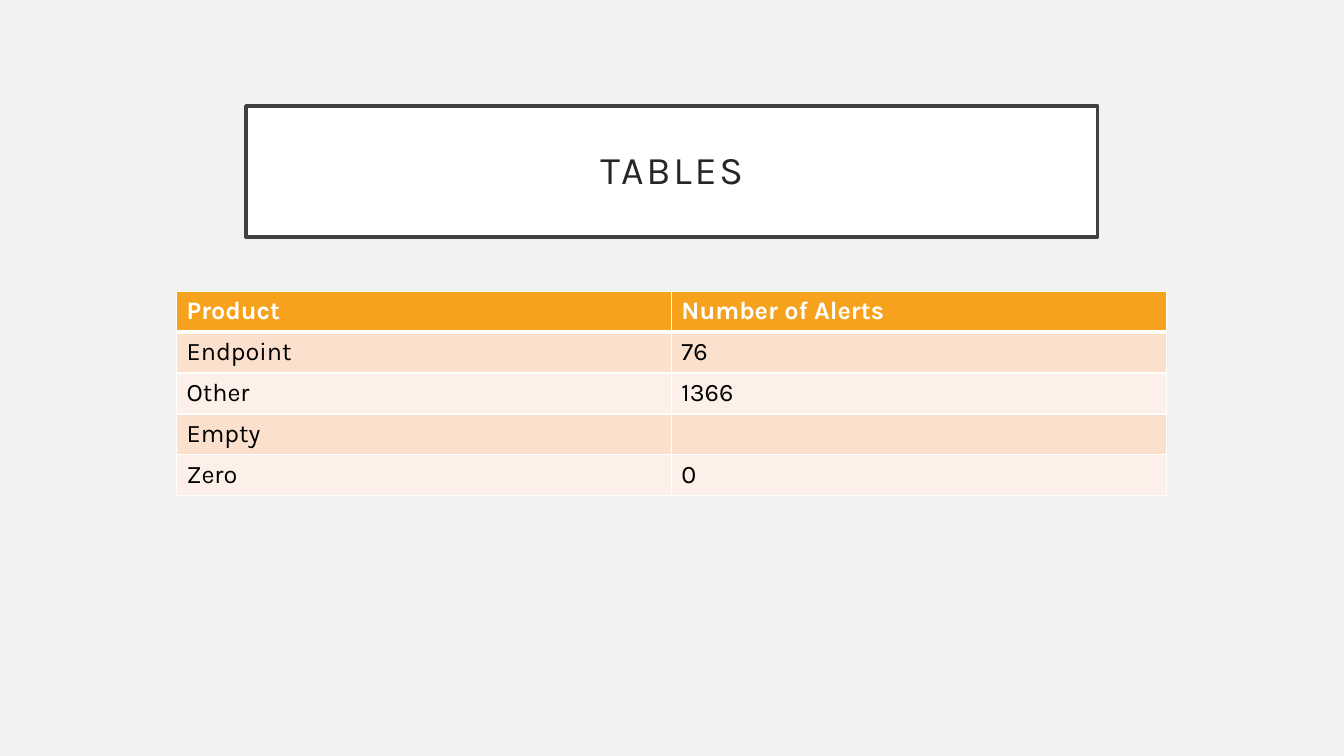
from dataclasses import dataclass

from lxml import etree
from pptx import Presentation
from pptx.dml.color import RGBColor
from pptx.enum.text import MSO_ANCHOR, MSO_AUTO_SIZE, PP_ALIGN
from pptx.oxml.ns import qn
from pptx.util import Cm, Pt

CENTER, LEFT = PP_ALIGN.CENTER, PP_ALIGN.LEFT
MIDDLE = MSO_ANCHOR.MIDDLE
NO_AUTOFIT = MSO_AUTO_SIZE.NONE
TITLE_ONLY = 5


@dataclass(frozen=True)
class Theme:
    font: str = "Karla"
    background: str = "F2F2F2"
    white: str = "FFFFFF"
    frame: str = "404040"
    title: str = "262626"
    text: str = "000000"
    header: str = "F6A21D"
    bands: tuple = ("FBE0CD", "FDF0E8")
    title_size: float = 28
    table_size: float = 18
    frame_width: float = 2.5
    rule: float = 1
    header_rule: float = 3


THEME = Theme()
ROWS = [
    ("Product", "Number of Alerts"),
    ("Endpoint", "76"),
    ("Other", "1366"),
    ("Empty", ""),
    ("Zero", "0"),
]


def paint(fill, color):
    fill.solid()
    fill.fore_color.rgb = RGBColor.from_string(color)


def write(tf, text, size, color, bold=False, align=LEFT, line_spacing=None, tracking=0):
    p = tf.paragraphs[0]
    p.alignment = align
    p.line_spacing = line_spacing
    if not text:
        p.font.size = Pt(size)
        return
    r = p.add_run()
    r.text = text
    r.font.name = THEME.font
    r.font.size = Pt(size)
    r.font.bold = bold
    r.font.color.rgb = RGBColor.from_string(color)
    if tracking:
        r.font._element.set("spc", str(int(tracking * 100)))


def set_borders(cell, bottom):
    tc_pr = cell._tc.get_or_add_tcPr()
    widths = {"lnL": THEME.rule, "lnR": THEME.rule, "lnT": THEME.rule, "lnB": bottom}
    for i, (tag, width) in enumerate(widths.items()):
        ln = etree.Element(qn(f"a:{tag}"), w=str(Pt(width)))
        fill = etree.SubElement(ln, qn("a:solidFill"))
        etree.SubElement(fill, qn("a:srgbClr"), val=THEME.white)
        tc_pr.insert(i, ln)


def add_title(s, text, left, top, width, height):
    sp = s.shapes.title
    sp.left, sp.top, sp.width, sp.height = left, top, width, height
    paint(sp.fill, THEME.white)
    paint(sp.line.fill, THEME.frame)
    sp.line.width = Pt(THEME.frame_width)
    tf = sp.text_frame
    tf.word_wrap = True
    tf.auto_size = NO_AUTOFIT
    tf.vertical_anchor = MIDDLE
    tf.margin_left = tf.margin_right = tf.margin_top = tf.margin_bottom = Cm(0.5)
    write(tf, text, THEME.title_size, THEME.title, align=CENTER,
          line_spacing=0.9, tracking=2)


def add_alert_table(s, rows, left, top, width, height):
    table = s.shapes.add_table(len(rows), len(rows[0]), left, top, width, height).table
    for i, values in enumerate(rows):
        is_header = i == 0
        fill = THEME.header if is_header else THEME.bands[(i - 1) % 2]
        color = THEME.white if is_header else THEME.text
        bottom = THEME.header_rule if is_header else THEME.rule
        for j, value in enumerate(values):
            cell = table.cell(i, j)
            paint(cell.fill, fill)
            set_borders(cell, bottom)
            write(cell.text_frame, value, THEME.table_size, color, bold=is_header)
            if i == 1:
                top_line = cell._tc.tcPr.find(qn("a:lnT"))
                top_line.set("w", str(Pt(THEME.header_rule)))


def build_slide(prs):
    s = prs.slides.add_slide(prs.slide_layouts[TITLE_ONLY])
    paint(s.background.fill, THEME.background)
    add_title(s, "TABLES", Cm(6.2), Cm(2.67), Cm(21.46), Cm(3.3))
    add_alert_table(s, ROWS, Cm(4.45), Cm(7.34), Cm(24.94), Cm(5.15))


prs = Presentation()
prs.slide_width, prs.slide_height = Cm(33.87), Cm(19.05)
build_slide(prs)
prs.save("out.pptx")
